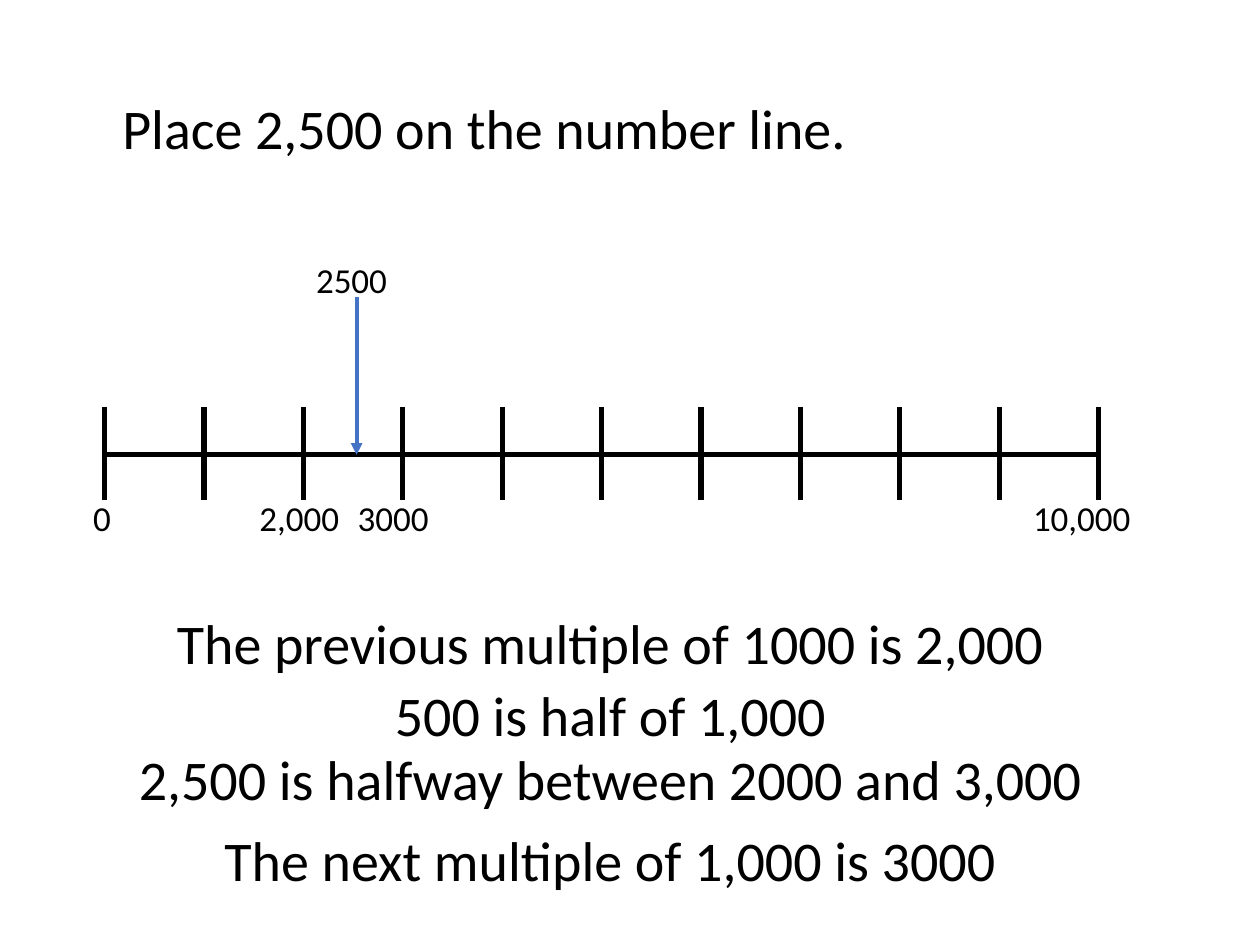
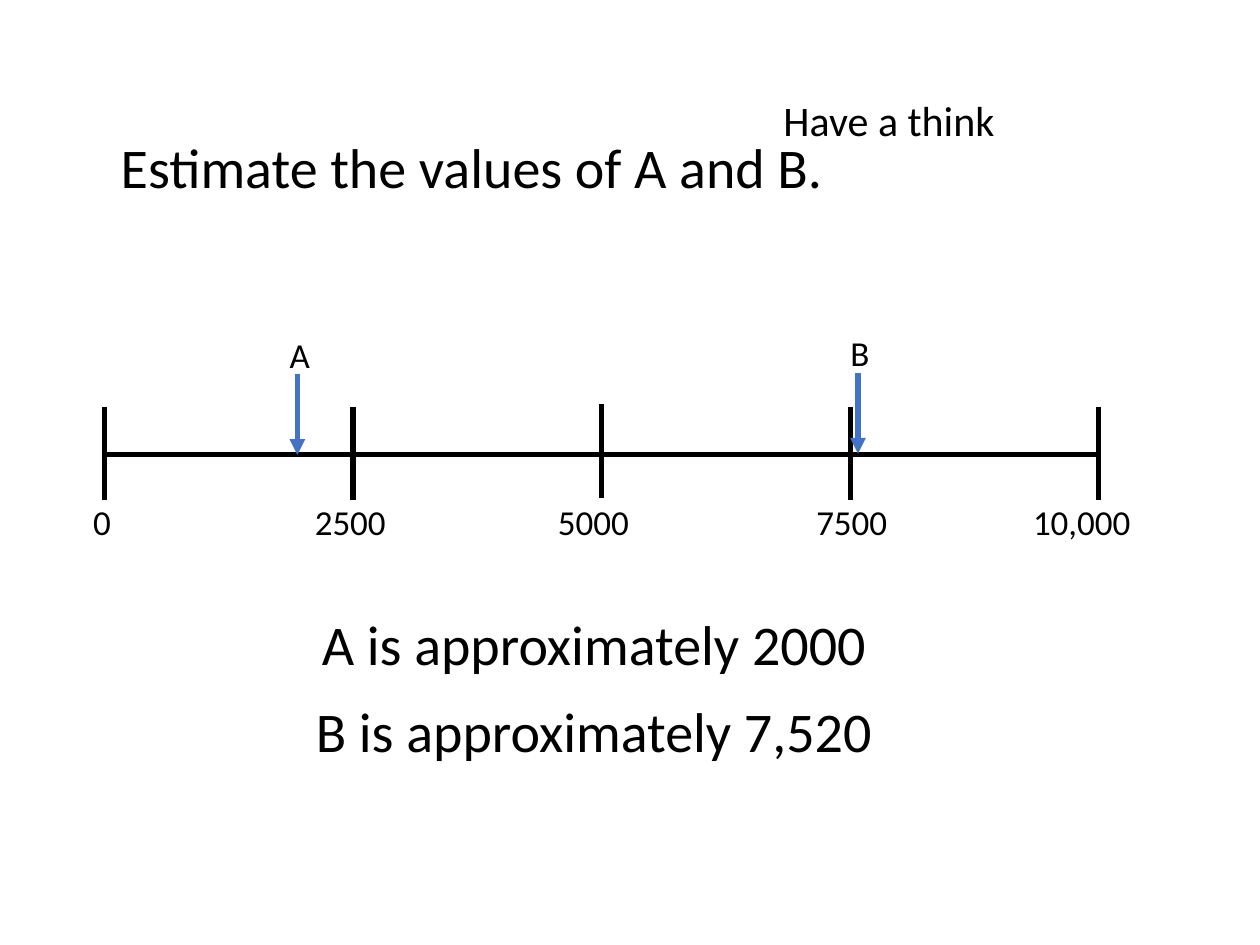
from lxml import etree
from pptx import Presentation
from pptx.dml.color import RGBColor
from pptx.enum.shapes import MSO_CONNECTOR
from pptx.enum.text import MSO_AUTO_SIZE, PP_ALIGN
from pptx.oxml.ns import qn
from pptx.util import Inches, Pt

COLORS = {"ink": "000000", "arrow": "4472C4", "paper": "FFFFFF"}
FONT = "Calibri"

# The slide is a grid of 100 columns by 75 rows of square cells.
CELL = Inches(10) / 100
LINE_LEFT, LINE_RIGHT, LINE_ROW = 8.3, 87.2, 36.1
LINE_MAX = 10000
TICK_TOP, TICK_ROWS = 32.3, 7.4
LABEL_ROWS, SENTENCE_ROWS = 4.4, 6.4


def grid(*cells):
    return [round(n * CELL) for n in cells]


def column_of(value):
    """Column at which a value lies on the number line."""
    return LINE_LEFT + (LINE_RIGHT - LINE_LEFT) * value / LINE_MAX


def add_text(slide, text, left, top, width, height, size=20, align=PP_ALIGN.LEFT):
    tf = slide.shapes.add_textbox(*grid(left, top, width, height)).text_frame
    tf.word_wrap = True
    tf.auto_size = MSO_AUTO_SIZE.SHAPE_TO_FIT_TEXT
    p = tf.paragraphs[0]
    p.alignment = align
    r = p.add_run()
    r.text = text
    r.font.name = FONT
    r.font.size = Pt(size)
    r.font.color.rgb = RGBColor.from_string(COLORS["ink"])


def add_sentence(slide, text, left, top, width=68.1):
    add_text(slide, text, left, top, width, SENTENCE_ROWS, size=32,
             align=PP_ALIGN.CENTER)


def add_label(slide, text, left, top, width=9.8):
    add_text(slide, text, left, top, width, LABEL_ROWS)


def add_line(slide, x1, y1, x2, y2, color="ink", weight=3, arrow=False):
    line = slide.shapes.add_connector(MSO_CONNECTOR.STRAIGHT, *grid(x1, y1, x2, y2))
    line.line.color.rgb = RGBColor.from_string(COLORS[color])
    line.line.width = Pt(weight)
    if arrow:
        etree.SubElement(line.line._get_or_add_ln(), qn("a:tailEnd"), type="triangle")
    etree.SubElement(line._element.spPr, qn("a:effectLst"))


def add_tick(slide, value, top=TICK_TOP):
    x = column_of(value)
    add_line(slide, x, top, x, top + TICK_ROWS)


def add_number_line(slide, ticks, labels, label_top):
    """Draw the axis with its ticks, and labels given as text: left column."""
    add_line(slide, LINE_LEFT, LINE_ROW, LINE_RIGHT, LINE_ROW)
    for value in ticks:
        add_tick(slide, value)
    for text, left in labels.items():
        add_label(slide, text, left, label_top)


def add_marker(slide, text, label_left, label_top, column, top, bottom=LINE_ROW, weight=3):
    """Draw a labelled arrow that points down at the number line."""
    add_line(slide, column, top, column, bottom, "arrow", weight, arrow=True)
    add_label(slide, text, label_left, label_top)


def new_slide(prs):
    slide = prs.slides.add_slide(prs.slide_layouts[6])
    fill = slide.background.fill
    fill.solid()
    fill.fore_color.rgb = RGBColor.from_string(COLORS["paper"])
    return slide


def build_place_slide(prs):
    slide = new_slide(prs)
    add_sentence(slide, "Place 2,500 on the number line.", 4.4, 6.9)
    add_number_line(slide, range(0, LINE_MAX + 1, 1000),
                    {"0": 6.4, "2,000": 19.6, "3000": 27.4, "10,000": 81},
                    label_top=38.9)
    add_marker(slide, "2500", 24.1, 20, column=28.3, top=23.6, weight=2.25)
    add_sentence(slide, "The previous multiple of 1000 is 2,000", 9.8, 47.8, 77.3)
    add_sentence(slide, "500 is half of 1,000", 14.4, 53.5)
    add_sentence(slide, "2,500 is halfway between 2000 and 3,000", 9.4, 58.6, 78.1)
    add_sentence(slide, "The next multiple of 1,000 is 3000", 13.3, 65, 70.3)


def build_estimate_slide(prs):
    slide = new_slide(prs)
    add_sentence(slide, "Estimate the values of A and B.", 3.4, 10)
    add_text(slide, "Have a think", 61.2, 7, 20, 5, size=24)
    add_number_line(slide, (0, 2500, 7500, LINE_MAX),
                    {"0": 6.4, "2500": 24, "5000": 43.3, "7500": 63.8, "10,000": 81},
                    label_top=39.2)
    add_tick(slide, 5000, top=32.1)
    add_marker(slide, "A", 22, 26, column=23.6, top=29.7)
    add_marker(slide, "B", 66.5, 25.8, column=68.1, top=29.6, bottom=36)
    add_sentence(slide, "A is approximately 2000", 13.1, 47.9)
    add_sentence(slide, "B is approximately 7,520", 13.1, 54.8)


def main():
    prs = Presentation()
    prs.slide_width, prs.slide_height = grid(100, 75)
    build_place_slide(prs)
    build_estimate_slide(prs)
    prs.save("out.pptx")


if __name__ == "__main__":
    main()
